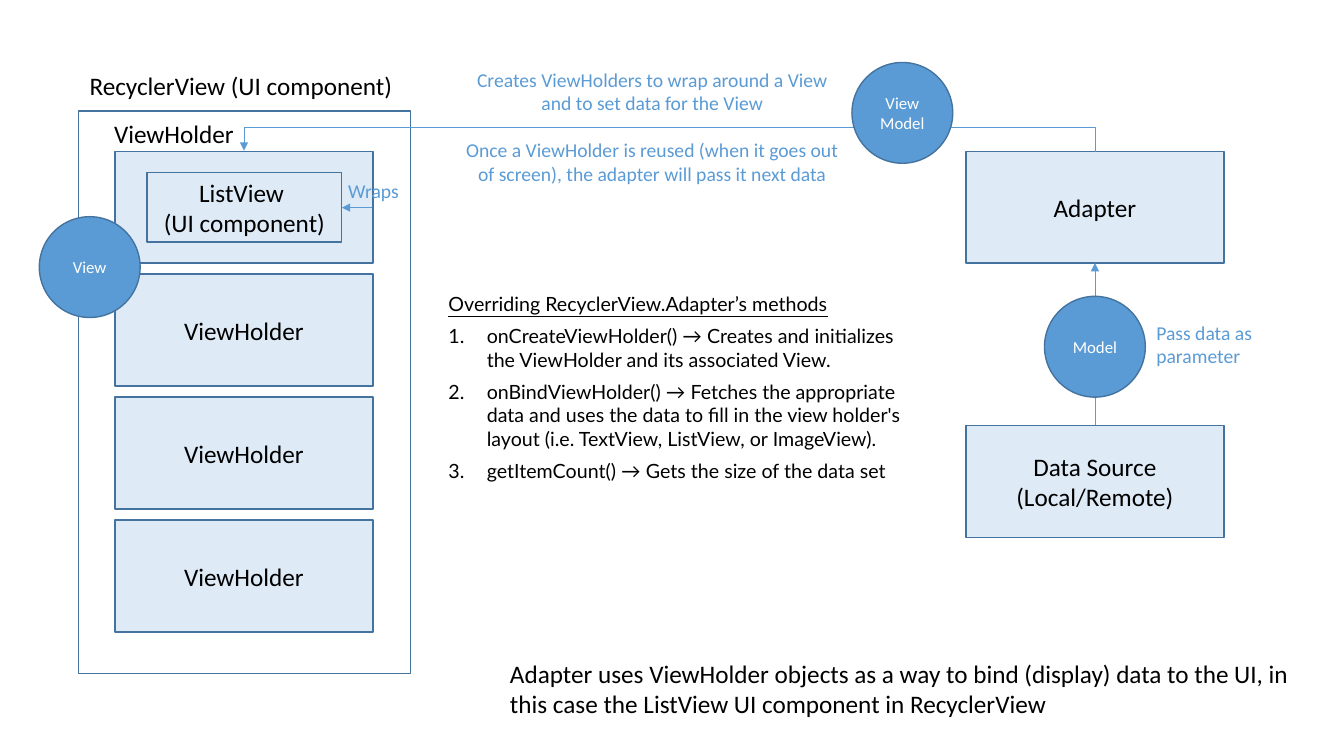
from lxml.etree import SubElement
from pptx import Presentation
from pptx.dml.color import RGBColor
from pptx.enum.shapes import MSO_CONNECTOR, MSO_SHAPE
from pptx.enum.text import MSO_ANCHOR, MSO_AUTO_SIZE, PP_ALIGN
from pptx.oxml.ns import qn
from pptx.util import Inches, Pt

BLACK = RGBColor(0x00, 0x00, 0x00)
WHITE = RGBColor(0xFF, 0xFF, 0xFF)
BLUE = RGBColor(0x5B, 0x9B, 0xD5)
PALE = RGBColor(0xDE, 0xEB, 0xF7)
OUTLINE = RGBColor(0x43, 0x73, 0x9E)
LEFT, CENTER = PP_ALIGN.LEFT, PP_ALIGN.CENTER

# Content and places
BOX_WIDTH, BOX_HEIGHT = 2.56, 1.11
HOLDER_LEFT, HOLDER_TOP, HOLDER_STEP = 1.14, 1.5, 1.22
ADAPTER_LEFT, SOURCE_TOP = 9.58, 4.22
ADAPTER_CENTER = ADAPTER_LEFT + BOX_WIDTH / 2
HOLDER_CENTER = HOLDER_LEFT + BOX_WIDTH / 2
CIRCLE_SIZE = 1
ELBOW_RISE, ELBOW_DEPTH = 0.24, 0.01

holders = [[], ["ViewHolder"], ["ViewHolder"], ["ViewHolder"]]
boxes = [
    ((HOLDER_LEFT, HOLDER_TOP + row * HOLDER_STEP, BOX_WIDTH, BOX_HEIGHT), lines)
    for row, lines in enumerate(holders)
] + [
    ((1.46, 1.71, 1.93, 0.69), ["ListView ", "(UI component)"]),
    ((ADAPTER_LEFT, HOLDER_TOP, BOX_WIDTH, BOX_HEIGHT), ["Adapter"]),
    ((ADAPTER_LEFT, SOURCE_TOP, BOX_WIDTH, BOX_HEIGHT),
     ["Data Source", "(Local/Remote)"]),
]
circles = [
    (ADAPTER_CENTER - CIRCLE_SIZE / 2, 2.94, ["Model"]),
    (8.45, 0.62, ["View", "Model"]),
    (0.39, 2.15, ["View"]),
]
arrows = [
    ((3.69, 2.06), (3.39, 2.06)),
    ((ADAPTER_CENTER, SOURCE_TOP), (ADAPTER_CENTER, HOLDER_TOP + BOX_HEIGHT)),
]
# Place, wrap, alignment, size, colour, lines
labels = [
    ((0.79, 0.65, 3.24, 0.4), False, LEFT, 18, BLACK,
     ["RecyclerView (UI component)"]),
    ((0.9, 1.12, 1.65, 0.4), True, CENTER, 18, BLACK, ["ViewHolder"]),
    ((3.35, 1.73, 0.71, 0.34), False, CENTER, 14, BLUE, ["Wraps"]),
    ((11.37, 3.13, 1.23, 0.57), True, LEFT, 14, BLUE, ["Pass data as parameter"]),
    ((4.49, 0.62, 3.96, 1.28), True, CENTER, 14, BLUE,
     ["Creates ViewHolders to wrap around a View and to set data for the View",
      "Once a ViewHolder is reused (when it goes out of screen), "
      "the adapter will pass it next data"]),
    ((4.96, 6.48, 8.13, 0.71), True, LEFT, 18, BLACK,
     ["Adapter uses ViewHolder objects as a way to bind (display) data to the UI, "
      "in this case the ListView UI component in RecyclerView"]),
]
methods_title = "Overriding RecyclerView.Adapter\u2019s methods"
methods = [
    "onCreateViewHolder() \u2192 Creates and initializes the ViewHolder "
    "and its associated View.",
    "onBindViewHolder() \u2192 Fetches the appropriate data and uses the data to "
    "fill in the view holder's layout (i.e. TextView, ListView, or ImageView).",
    "getItemCount() \u2192 Gets the size of the data set",
]

presentation = Presentation()
presentation.slide_width, presentation.slide_height = Inches(13.33), Inches(7.5)
slide = presentation.slides.add_slide(presentation.slide_layouts[6])


def write(frame, lines, size, color, align, font="Calibri", gap=0):
    for index, line in enumerate(lines):
        paragraph = frame.paragraphs[0] if index == 0 else frame.add_paragraph()
        paragraph.alignment = align
        if index and gap:
            paragraph.space_before = Pt(gap)
        run = paragraph.add_run()
        run.text = line
        run.font.name, run.font.size = font, Pt(size)
        run.font.color.rgb = color


def add_figure(kind, place, fill, lines=(), size=18, color=BLACK):
    shape = slide.shapes.add_shape(kind, *map(Inches, place))
    shape.shadow.inherit = False
    if fill is None:
        shape.fill.background()
    else:
        shape.fill.solid()
        shape.fill.fore_color.rgb = fill
    shape.line.color.rgb, shape.line.width = OUTLINE, Pt(1)
    shape.text_frame.vertical_anchor = MSO_ANCHOR.MIDDLE
    write(shape.text_frame, lines, size, color, CENTER)


def add_label(place, wrap=True):
    frame = slide.shapes.add_textbox(*map(Inches, place)).text_frame
    frame.word_wrap = wrap
    frame.auto_size = MSO_AUTO_SIZE.SHAPE_TO_FIT_TEXT
    return frame


def add_arrow(kind, start, end):
    connector = slide.shapes.add_connector(kind, *map(Inches, start + end))
    connector.line.color.rgb, connector.line.width = BLUE, Pt(0.5)
    SubElement(connector.line._get_or_add_ln(), qn("a:tailEnd"), type="triangle")
    properties = connector._element.spPr
    SubElement(properties, qn("a:effectLst"))
    return properties


# Boxes
add_figure(MSO_SHAPE.RECTANGLE, (0.78, 1.1, 3.29, 5.58), None)
for place, lines in boxes:
    add_figure(MSO_SHAPE.RECTANGLE, place, PALE, lines)

# Straight arrows
for start, end in arrows:
    add_arrow(MSO_CONNECTOR.STRAIGHT, start, end)

# Elbow arrow from adapter to first holder: drawn upright, then turned by 270 degrees
middle = (ADAPTER_CENTER + HOLDER_CENTER) / 2
half_span = (ADAPTER_CENTER - HOLDER_CENTER) / 2
elbow = add_arrow(
    MSO_CONNECTOR.ELBOW,
    (middle - ELBOW_DEPTH / 2, HOLDER_TOP + half_span),
    (middle + ELBOW_DEPTH / 2, HOLDER_TOP - half_span),
)
elbow.find(qn("a:xfrm")).set("rot", str(270 * 60000))
bend = round((ELBOW_RISE / ELBOW_DEPTH + 0.5) * 100000)
adjustments = elbow.find(qn("a:prstGeom")).find(qn("a:avLst"))
SubElement(adjustments, qn("a:gd"), name="adj1", fmla=f"val {bend}")

# Labels
for place, wrap, align, size, color, lines in labels:
    write(add_label(place, wrap), lines, size, color, align, gap=17)

# Numbered methods
frame = add_label((4.35, 2.85, 4.73, 2))
write(frame, [methods_title] + methods, 14, BLACK, LEFT, "Lato")
frame.paragraphs[0].runs[0].font.underline = True
for index, paragraph in enumerate(frame.paragraphs):
    paragraph.space_after = Pt(6)
    if index:
        settings = paragraph._p.get_or_add_pPr()
        settings.set("marL", str(Inches(0.38)))
        settings.set("indent", str(-Inches(0.38)))
        SubElement(settings, qn("a:buFont"), typeface="+mj-lt")
        SubElement(settings, qn("a:buAutoNum"), type="arabicPeriod")

# Circles
for left, top, lines in circles:
    add_figure(MSO_SHAPE.OVAL, (left, top, CIRCLE_SIZE, CIRCLE_SIZE), BLUE,
               lines, 12, WHITE)

presentation.save("out.pptx")
